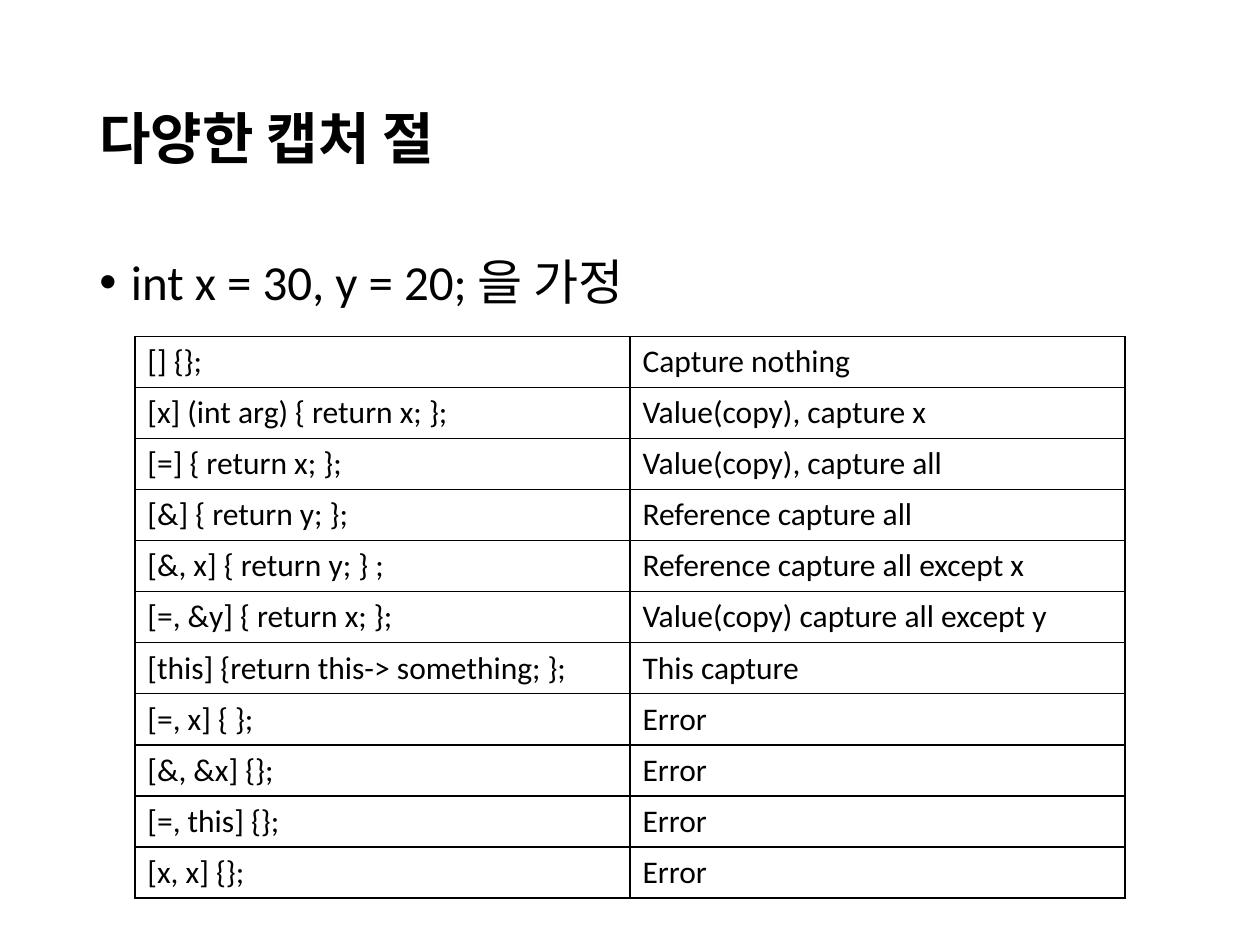
from lxml import etree
from pptx import Presentation
from pptx import util as u
from pptx.dml.color import RGBColor
from pptx.enum import text
from pptx.oxml import ns

COLORS = {"ink": "000000", "paper": "FFFFFF"}

CAPTURES = [
    ("[] {};", "Capture nothing"),
    ("[x] (int arg) { return x; };", "Value(copy), capture x"),
    ("[=] { return x; };", "Value(copy), capture all"),
    ("[&] { return y; };", "Reference capture all"),
    ("[&, x] { return y; } ;", "Reference capture all except x"),
    ("[=, &y] { return x; };", "Value(copy) capture all except y"),
    ("[this] {return this-> something; };", "This capture"),
    ("[=, x] { };", "Error"),
    ("[&, &x] {};", "Error"),
    ("[=, this] {};", "Error"),
    ("[x, x] {};", "Error"),
]


def add_xml(parent, tag, **attributes):
    """Append a DrawingML element and return it."""
    return etree.SubElement(parent, ns.qn(tag), attributes)


class SlideWriter:
    """Holds the style and the slide being filled."""

    font = "Calibri"

    def __init__(self, slide):
        """Start on a slide with a plain background."""
        self.slide = slide
        fill = slide.background.fill
        fill.solid()
        fill.fore_color.rgb = RGBColor.from_string(COLORS["paper"])

    def style(self, para, size, bold=False):
        """Set the font of a whole paragraph."""
        para.font.name = self.font
        para.font.size = u.Pt(size)
        para.font.bold = bold
        para.font.color.rgb = RGBColor.from_string(COLORS["ink"])

    def textbox(self, words, at, size, bold=False, anchor=text.MSO_ANCHOR.TOP):
        """Add a wrapped one-paragraph text box and return the paragraph."""
        box = self.slide.shapes.add_textbox(*map(u.Inches, at))
        frame = box.text_frame
        frame.word_wrap = True
        frame.vertical_anchor = anchor
        para = frame.paragraphs[0]
        para.text = words
        para.line_spacing = 0.9
        self.style(para, size, bold)
        return para

    def bullet(self, words, at, size):
        """Add a text box with one bulleted line."""
        para = self.textbox(words, at, size)
        para.space_before = u.Pt(10)
        props = para._p.get_or_add_pPr()
        props.set("marL", str(u.Inches(0.25)))
        props.set("indent", str(-u.Inches(0.25)))
        bullet_font = etree.Element(ns.qn("a:buFont"), typeface="Arial")
        bullet_char = etree.Element(ns.qn("a:buChar"), char="•")
        default_run = props.find(ns.qn("a:defRPr"))
        default_run.addprevious(bullet_font)
        default_run.addprevious(bullet_char)

    def border(self, cell):
        """Draw a thin line on all four sides of a cell."""
        props = cell._tc.get_or_add_tcPr()
        for position, side in enumerate("LRTB"):
            line = etree.Element(ns.qn(f"a:ln{side}"), w=str(u.Pt(1)))
            add_xml(add_xml(line, "a:solidFill"), "a:srgbClr", val=COLORS["ink"])
            props.insert(position, line)

    def table(self, rows, at, size):
        """Add a plain grid with equal rows and columns."""
        frame = self.slide.shapes.add_table(
            len(rows), len(rows[0]), *map(u.Inches, at))
        grid = frame.table
        grid.first_row = grid.horz_banding = False
        for row, entries in enumerate(rows):
            for column, words in enumerate(entries):
                cell = grid.cell(row, column)
                cell.text = words
                cell.fill.background()
                self.style(cell.text_frame.paragraphs[0], size)
                self.border(cell)


def main():
    """Build the slide and save the deck."""
    deck = Presentation()
    deck.slide_width, deck.slide_height = u.Inches(10), u.Inches(7.5)
    writer = SlideWriter(deck.slides.add_slide(deck.slide_layouts[6]))
    writer.textbox("다양한 캡처 절", (0.69, 0.4, 8.62, 1.45), 32,
                   bold=True, anchor=text.MSO_ANCHOR.MIDDLE)
    writer.bullet("int x = 30, y = 20; 을 가정", (0.69, 2, 8.62, 4.76), 28)
    writer.table(CAPTURES, (1.07, 2.67, 7.86, 4.46), 18)
    deck.save("out.pptx")


main()
